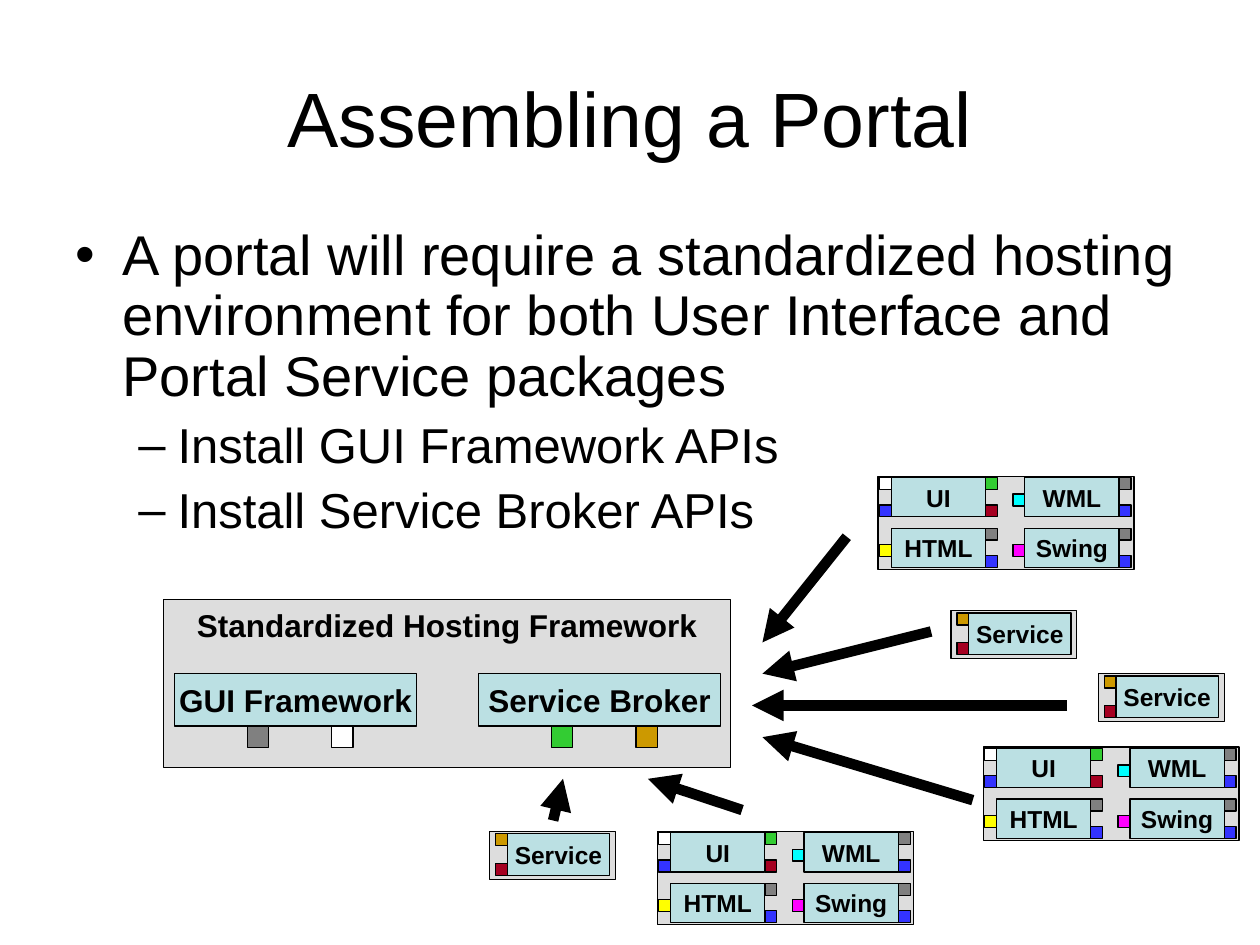
from lxml import etree
from pptx import Presentation
from pptx.dml.color import RGBColor
from pptx.enum.shapes import MSO_CONNECTOR, MSO_SHAPE
from pptx.enum.text import MSO_ANCHOR, PP_ALIGN
from pptx.oxml.ns import qn
from pptx.util import Cm, Pt

RECT = MSO_SHAPE.RECTANGLE
LINE = MSO_CONNECTOR.STRAIGHT
TOP, MIDDLE = MSO_ANCHOR.TOP, MSO_ANCHOR.MIDDLE
CENTER = PP_ALIGN.CENTER

BLACK = RGBColor(0x00, 0x00, 0x00)
WHITE = RGBColor(0xFF, 0xFF, 0xFF)
PALE = RGBColor(0xDD, 0xDD, 0xDD)
GRAY = RGBColor(0x80, 0x80, 0x80)
TEAL = RGBColor(0xBB, 0xE0, 0xE3)
GREEN = RGBColor(0x33, 0xCC, 0x33)
GOLD = RGBColor(0xCC, 0x99, 0x00)
RED = RGBColor(0xA5, 0x00, 0x21)
BLUE = RGBColor(0x33, 0x33, 0xFF)
CYAN = RGBColor(0x00, 0xFF, 0xFF)
PINK = RGBColor(0xFF, 0x00, 0xFF)
YELLOW = RGBColor(0xFF, 0xFF, 0x00)

FONT = "Arial"
PORT = 0.24  # side of a small port, in cm

# Bullet points: text, level
POINTS = [
    ("A portal will require a standardized hosting environment "
     "for both User Interface and Portal Service packages", 0),
    ("Install GUI Framework APIs", 1),
    ("Install Service Broker APIs", 1),
]
# Level style: mark, left margin, hanging indent, size, space before
LEVELS = [("•", 0.95, 0.95, 32, 0), ("–", 2.06, 0.79, 28, 7)]

# Interface parts: name, column, row, left ports, right ports;
# each port is a colour and its height within the part (0 top, 1 bottom)
PARTS = [
    ("UI", 0, 0, [(WHITE, 0), (BLUE, 1)], [(GREEN, 0), (RED, 1)]),
    ("WML", 1, 0, [(CYAN, 0.6)], [(GRAY, 0), (BLUE, 1)]),
    ("HTML", 0, 1, [(YELLOW, 0.6)], [(GRAY, 0), (BLUE, 1)]),
    ("Swing", 1, 1, [(PINK, 0.6)], [(GRAY, 0), (BLUE, 1)]),
]

BUNDLES = [(17.7, 9.6), (19.82, 15.06), (13.25, 16.76)]
SERVICES = [(19.17, 12.31), (22.14, 13.58), (9.87, 16.76)]

ARROWS = [
    (17.07, 10.82, 15.37, 12.95),
    (18.77, 12.73, 15.37, 13.58),
    (21.51, 14.22, 15.16, 14.22),
    (11.15, 16.54, 11.35, 15.7),
    (19.61, 16.13, 15.37, 14.86),
    (14.96, 16.33, 13.06, 15.7),
]


def style(par, size, bold=False):
    par.font.name = FONT
    par.font.size = Pt(size)
    par.font.bold = bold
    par.font.color.rgb = BLACK


def add_box(group, x, y, w, h, fill, text="", size=14, anchor=MIDDLE):
    box = group.shapes.add_shape(RECT, Cm(x), Cm(y), Cm(w), Cm(h))
    box.shadow.inherit = False
    box.fill.solid()
    box.fill.fore_color.rgb = fill
    box.line.color.rgb = BLACK
    box.line.width = Pt(0.75)
    if text:
        frame = box.text_frame
        frame.text = text
        frame.word_wrap = False
        frame.vertical_anchor = anchor
        frame.paragraphs[0].alignment = CENTER
        style(frame.paragraphs[0], size, True)


def add_ports(group, x, y, h, ports):
    for color, pos in ports:
        add_box(group, x, y + pos * (h - PORT), PORT, PORT, color)


def add_service(slide, x, y):
    group = slide.shapes.add_group_shape()
    add_box(group, x, y, 2.54, 0.97, PALE)
    add_box(group, x + 0.36, y + 0.05, 2.06, 0.84, TEAL, "Service")
    add_ports(group, x + 0.12, y + 0.05, 0.84, [(RED, 1), (GOLD, 0)])


def add_bundle(slide, x, y):
    group = slide.shapes.add_group_shape()
    add_box(group, x, y, 5.16, 1.88, PALE)
    w, h = 1.9, 0.79
    for name, col, row, left, right in PARTS:
        px, py = x + 0.27 + col * 2.69, y + 0.03 + row * 1.02
        add_box(group, px, py, w, h, TEAL, name)
        add_ports(group, px - PORT, py, h, left)
        add_ports(group, px + w, py, h, right)


def add_host(slide):
    group = slide.shapes.add_group_shape()
    add_box(group, 3.3, 12.09, 11.43, 3.39, PALE,
            "Standardized Hosting Framework", 18, TOP)
    for x, name, colors in [(9.65, "Service Broker", (GREEN, GOLD)),
                            (3.52, "GUI Framework", (GRAY, WHITE))]:
        add_box(group, x, 13.58, 4.88, 1.06, TEAL, name, 18)
        for i, color in enumerate(colors):
            add_box(group, x + 1.47 + i * 1.7, 14.64, 0.43, 0.43, color)


def add_arrow(slide, x1, y1, x2, y2):
    arrow = slide.shapes.add_connector(LINE, Cm(x1), Cm(y1), Cm(x2), Cm(y2))
    arrow.line.color.rgb = BLACK
    arrow.line.width = Pt(6)
    props = arrow.line._get_or_add_ln()
    etree.SubElement(props, qn("a:tailEnd"), type="triangle")
    etree.SubElement(arrow._element.spPr, qn("a:effectLst"))


def set_title(slide, text):
    title = slide.shapes.title
    title.left, title.top = Cm(1.27), Cm(0.76)
    title.width, title.height = Cm(22.86), Cm(3.18)
    title.text_frame.text = text
    title.text_frame.vertical_anchor = MIDDLE
    par = title.text_frame.paragraphs[0]
    par.alignment = CENTER
    style(par, 44)


def add_points(slide):
    box = slide.shapes.add_textbox(Cm(1.27), Cm(4.45), Cm(22.86), Cm(6.55))
    frame = box.text_frame
    frame.word_wrap = True
    for i, (text, level) in enumerate(POINTS):
        par = frame.add_paragraph() if i else frame.paragraphs[0]
        mark, left, hang, size, gap = LEVELS[level]
        par.text = text
        par.level = level
        par.line_spacing = 0.9
        par.space_before = Pt(gap)
        props = par._p.get_or_add_pPr()
        props.set("marL", str(Cm(left)))
        props.set("indent", str(-Cm(hang)))
        etree.SubElement(props, qn("a:buFont"), typeface=FONT)
        etree.SubElement(props, qn("a:buChar"), char=mark)
        style(par, size)


def main():
    prs = Presentation()
    prs.slide_width, prs.slide_height = Cm(25.4), Cm(19.05)
    slide = prs.slides.add_slide(prs.slide_layouts[5])
    set_title(slide, "Assembling a Portal")
    add_points(slide)
    # Host and the packages around it
    add_host(slide)
    for spot in BUNDLES:
        add_bundle(slide, *spot)
    for spot in SERVICES:
        add_service(slide, *spot)
    # Packages plug into the host
    for ends in ARROWS:
        add_arrow(slide, *ends)
    prs.save("out.pptx")


if __name__ == "__main__":
    main()
